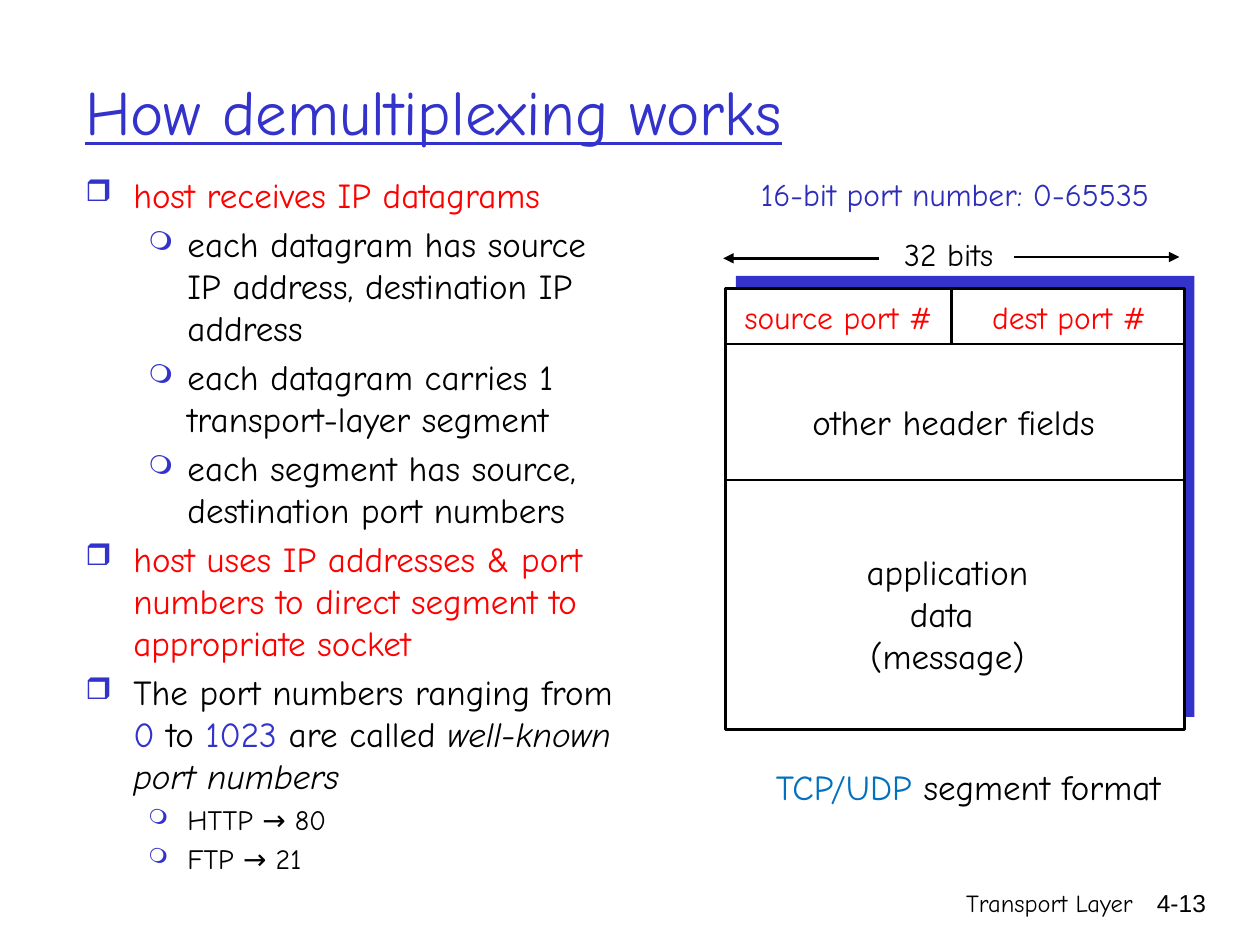
import dataclasses

import lxml.etree
import pptx
import pptx.dml.color
import pptx.enum.shapes
import pptx.enum.text
import pptx.oxml.ns
import pptx.util

WIDTH, HEIGHT = pptx.util.Inches(10), pptx.util.Inches(7.5)
COLUMNS, ROWS = 100, 75
ALIGN = pptx.enum.text.PP_ALIGN
ANCHOR = pptx.enum.text.MSO_ANCHOR


@dataclasses.dataclass(frozen=True)
class Theme:
    font: str = "Comic Neue"
    number_font: str = "Arial"
    black: str = "000000"
    white: str = "FFFFFF"
    blue: str = "3333CC"
    note_blue: str = "2D2DB9"
    protocol_blue: str = "0070C0"
    red: str = "FF0000"
    title: int = 36
    body: int = 20
    label: int = 18
    detail: int = 16
    footer: int = 14
    rule: float = 1.5


THEME = Theme()
# Per outline level: bullet, its size in percent, left margin and indent in inches
BULLETS = (("❒", 85, 0.38, -0.38), ("❍", 75, 0.81, -0.31))


def rgb(color):
    return pptx.dml.color.RGBColor.from_string(color)


def across(columns):
    return round(WIDTH * columns / COLUMNS)


def down(rows):
    return round(HEIGHT * rows / ROWS)


def place(left, top, width, height):
    return across(left), down(top), across(width), down(height)


def add_child(parent, tag, **attributes):
    return lxml.etree.SubElement(parent, pptx.oxml.ns.qn(tag), attributes)


def write_runs(paragraph, content, size=THEME.body, color=THEME.black,
               font=THEME.font, underline=None):
    """Content is a string, or a list of (text, color, italic) parts."""
    parts = [(content, color, None)] if isinstance(content, str) else content
    for words, part_color, italic in parts:
        run = paragraph.add_run()
        run.text = words
        run.font.name = font
        run.font.size = pptx.util.Pt(size)
        run.font.color.rgb = rgb(part_color)
        run.font.italic = italic
        run.font.underline = underline


def add_text(slide, box, *lines, align=ALIGN.CENTER, anchor=ANCHOR.TOP,
             wrap=False, **run_format):
    frame = slide.shapes.add_textbox(*place(*box)).text_frame
    frame.word_wrap = wrap
    frame.vertical_anchor = anchor
    for index, content in enumerate(lines):
        paragraph = frame.add_paragraph() if index else frame.paragraphs[0]
        paragraph.alignment = align
        write_runs(paragraph, content, **run_format)
    return frame


def set_bullet(paragraph, level):
    symbol, percent, margin, indent = BULLETS[level]
    paragraph.level = level
    properties = paragraph._p.get_or_add_pPr()
    properties.set("marL", str(pptx.util.Inches(margin)))
    properties.set("indent", str(pptx.util.Inches(indent)))
    add_child(add_child(properties, "a:buClr"), "a:srgbClr", val=THEME.blue)
    add_child(properties, "a:buSzPct", val=str(percent * 1000))
    add_child(properties, "a:buChar", char=symbol)


def add_outline(slide, box, items):
    """Each item is (level, content, color, size)."""
    frame = add_text(slide, box, wrap=True)
    for index, (level, content, color, size) in enumerate(items):
        paragraph = frame.add_paragraph() if index else frame.paragraphs[0]
        set_bullet(paragraph, level)
        if index:
            paragraph.space_before = pptx.util.Pt(size * 0.2)
        write_runs(paragraph, content, size=size, color=color)


def add_panel(slide, box, fill, outline=None):
    panel = slide.shapes.add_shape(
        pptx.enum.shapes.MSO_SHAPE.RECTANGLE, *place(*box))
    panel.shadow.inherit = False
    panel.fill.solid()
    panel.fill.fore_color.rgb = rgb(fill)
    if outline:
        panel.line.color.rgb = rgb(outline)
        panel.line.width = pptx.util.Pt(THEME.rule)
    else:
        panel.line.fill.background()


def add_line(slide, start, end, arrow=False):
    line = slide.shapes.add_connector(
        pptx.enum.shapes.MSO_CONNECTOR.STRAIGHT,
        across(start[0]), down(start[1]), across(end[0]), down(end[1]))
    line.line.color.rgb = rgb(THEME.black)
    line.line.width = pptx.util.Pt(THEME.rule)
    if arrow:
        add_child(line.line._get_or_add_ln(), "a:tailEnd", type="triangle")
    add_child(line._element.spPr, "a:effectLst")


def add_segment_diagram(slide):
    left, top, width, height = segment = (57.6, 22.9, 36.4, 35)
    right = left + width
    ports_bottom, header_bottom, port_split = 27.3, 38.1, 75.5
    add_panel(slide, (left + 0.8, top - 1, width, height), THEME.blue)
    add_panel(slide, segment, THEME.white, THEME.black)
    for row in (ports_bottom, header_bottom):
        add_line(slide, (left, row), (right, row))
    add_line(slide, (port_split, top), (port_split, ports_bottom))

    add_line(slide, (80.5, 20.4), (93.6, 20.4), arrow=True)
    add_line(slide, (69.8, 20.5), (57.4, 20.5), arrow=True)
    add_text(slide, (70.1, 18.2, 10.4, 4), "32 bits", size=THEME.label)

    ports = {"size": THEME.label, "color": THEME.red}
    add_text(slide, (57.4, 23.2, 18.3, 4), "source port #", **ports)
    add_text(slide, (76.9, 23.2, 15.9, 4), "dest port #", **ports)
    add_text(slide, (62, 31.3, 27.4, 4.3), "other header fields")
    add_text(slide, (67.3, 43.2, 15.8, 11),
             "application", "data ", "(message)")
    add_text(slide, (59.1, 60.3, 35.5, 4.3),
             [("TCP/UDP", THEME.protocol_blue, None),
              (" segment format", THEME.black, None)])
    add_text(slide, (56.5, 13.4, 38.6, 4), "16-bit port number: 0-65535",
             size=THEME.label, color=THEME.note_blue, wrap=True)


def add_footer(slide):
    footer = {"size": THEME.footer, "align": ALIGN.RIGHT, "wrap": True}
    add_text(slide, (59.2, 70, 31.7, 5), "Transport Layer", **footer)
    add_text(slide, (89.3, 70, 7.4, 5), "4-13", font=THEME.number_font,
             **footer)


def main():
    deck = pptx.Presentation()
    deck.slide_width, deck.slide_height = WIDTH, HEIGHT
    slide = deck.slides.add_slide(deck.slide_layouts[6])

    well_known = [("The port numbers ranging from ", THEME.black, None),
                  ("0", THEME.blue, None), (" to ", THEME.black, None),
                  ("1023", THEME.blue, None),
                  (" are called ", THEME.black, None),
                  ("well-known port numbers", THEME.black, True)]
    point = (THEME.red, THEME.body)
    plain = (THEME.black, THEME.body)
    example = (THEME.black, THEME.detail)

    add_footer(slide)
    add_text(slide, (5.8, 2.5, 85, 12.5), "How demultiplexing works",
             size=THEME.title, color=THEME.blue, underline=True,
             align=ALIGN.LEFT, anchor=ANCHOR.MIDDLE, wrap=True)
    add_outline(slide, (5.8, 13.3, 45, 58.2), [
        (0, "host receives IP datagrams", *point),
        (1, "each datagram has source IP address, destination IP address",
         *plain),
        (1, "each datagram carries 1 transport-layer segment", *plain),
        (1, "each segment has source, destination port numbers", *plain),
        (0, "host uses IP addresses & port numbers to direct segment to "
            "appropriate socket", *point),
        (0, well_known, *plain),
        (1, "HTTP → 80", *example),
        (1, "FTP → 21", *example),
    ])
    add_segment_diagram(slide)
    deck.save("out.pptx")


if __name__ == "__main__":
    main()
